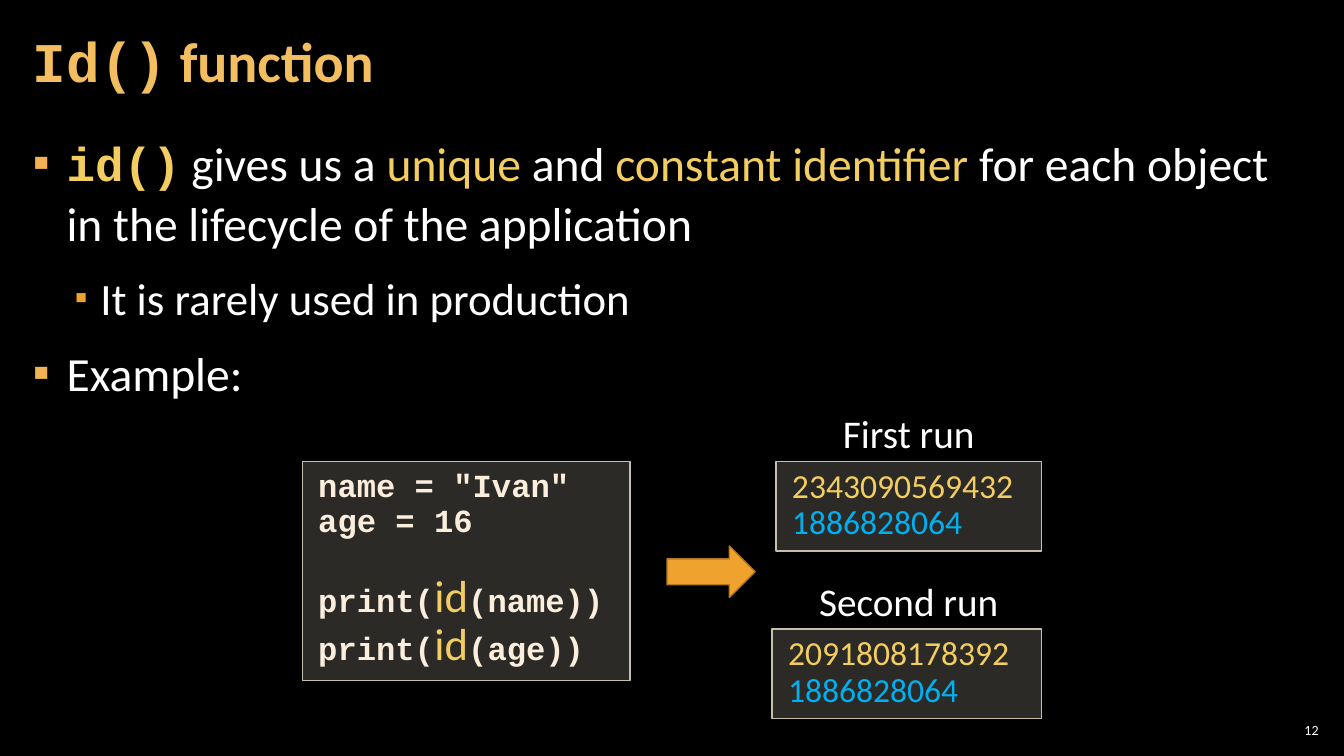
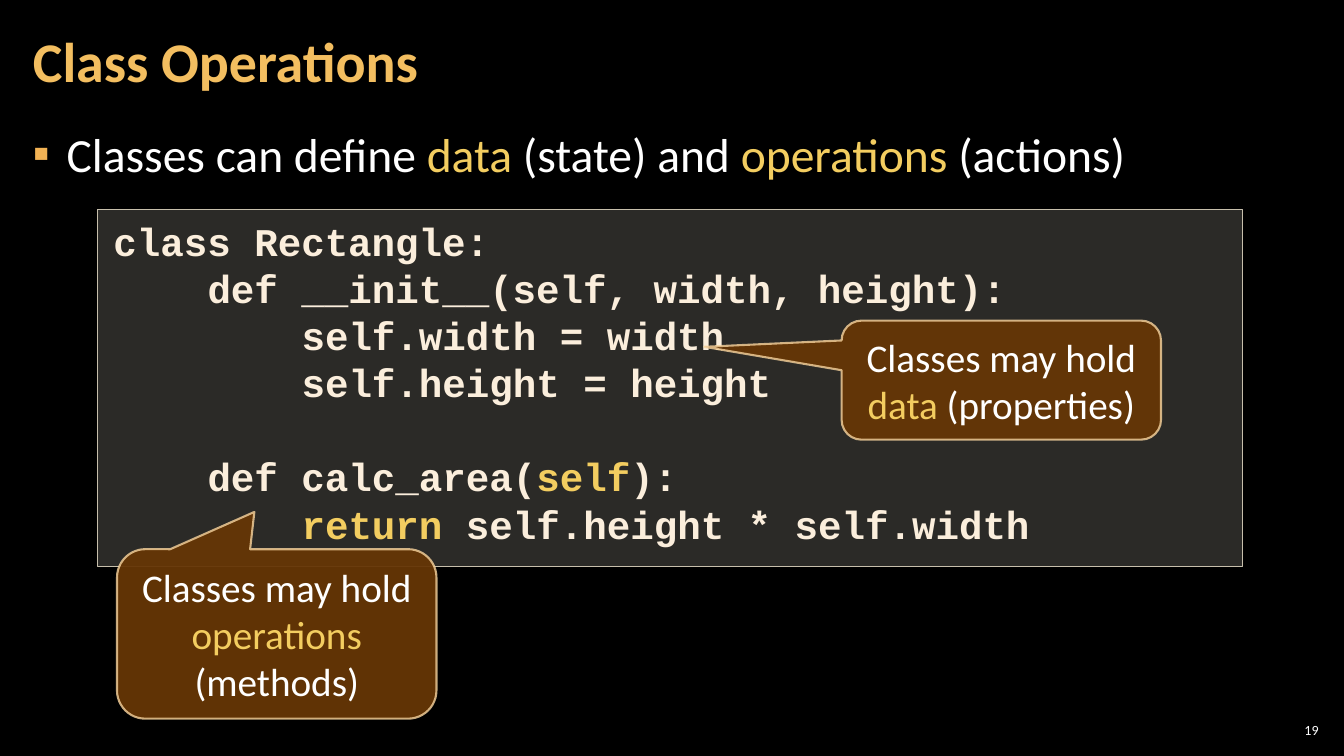
from lxml.etree import SubElement
from pptx import Presentation
from pptx.dml.color import RGBColor
from pptx.enum.shapes import MSO_SHAPE
from pptx.enum.text import MSO_ANCHOR, PP_ALIGN
from pptx.oxml.ns import qn
from pptx.util import Cm, Pt

COLORS = {
    "background": "000000", "text": "FFFFFF", "title": "F3BE60",
    "highlight": "F3CD60", "code": "FBEEDC", "number": "00B0F0",
    "panel": "D9D5C7", "panel_line": "C7BFAC",
    "callout": "663606", "callout_line": "F8D49E",
    "arrow": "F0A22E", "arrow_line": "B27822",
    "bullet": "F2B254", "sub_bullet": "F0A22E",
}
SANS, MONO = "Calibri", "Courier New"
BODY_INSETS = (0.3, 0.1, 0.3, 0.1)
PANEL_INSETS = (0.4, 0.2, 0.4, 0.2)
CALLOUT_INSETS = (0.25, 0.13, 0.25, 0.13)
CODE_INDENT = 4 * 0.6  # four characters, each 0.6 of the type size wide
CODE_LINE = 1.2  # height of a line of code relative to the type size


def rgb(name):
    return RGBColor.from_string(COLORS[name])


class Deck:
    """Holds the shared style and the slide being built."""

    def __init__(self):
        self.prs = Presentation()
        self.prs.slide_width, self.prs.slide_height = Cm(33.87), Cm(19.05)
        self.slide = None

    # Slide frame
    def new_slide(self, title, number):
        self.slide = self.prs.slides.add_slide(self.prs.slide_layouts[6])
        background = self.slide.background.fill
        background.solid()
        background.fore_color.rgb = rgb("background")
        heading = self.text_frame((0.53, 0.1, 26.6, 3.07), BODY_INSETS, MSO_ANCHOR.MIDDLE)
        self.paragraph(heading, title, size=40, color="title", bold=True).line_spacing = 0.9
        page = self.text_frame((32.13, 18.13, 1.2, 0.55), (0.1,) * 4, MSO_ANCHOR.MIDDLE)
        self.paragraph(page, [number], size=10).alignment = PP_ALIGN.RIGHT

    # Text
    def text_frame(self, box, insets, anchor=MSO_ANCHOR.TOP):
        holder = self.slide.shapes.add_textbox(*map(Cm, box))
        return self.set_frame(holder.text_frame, insets, anchor)

    def set_frame(self, frame, insets, anchor=MSO_ANCHOR.TOP):
        frame.word_wrap = True
        frame.vertical_anchor = anchor
        (frame.margin_left, frame.margin_top,
         frame.margin_right, frame.margin_bottom) = map(Cm, insets)
        return frame

    def paragraph(self, frame, parts, **style):
        """Each part is a string or a (string, style changes) pair."""
        first = frame.paragraphs[0]
        paragraph = frame.add_paragraph() if first.runs else first
        for part in parts:
            words, changes = (part, {}) if isinstance(part, str) else part
            look = {"size": 28, "font": SANS, "color": "text", "bold": False, **style, **changes}
            run = paragraph.add_run()
            run.text = words
            run.font.size, run.font.name = Pt(look["size"]), look["font"]
            run.font.bold = look["bold"]
            run.font.color.rgb = rgb(look["color"])
        return paragraph

    def indent(self, paragraph, left, first=0):
        properties = paragraph._p.get_or_add_pPr()
        properties.set("marL", str(int(left)))
        properties.set("indent", str(int(first)))
        return properties

    def bullets(self, top, items):
        frame = self.text_frame((0.53, top, 32.8, 15.47), BODY_INSETS)
        levels = [(34, 0.85, 0.85, "bullet", 100), (32, 1.7, 0.64, "sub_bullet", 80)]
        for level, parts in items:
            size, left, hang, color, percent = levels[level]
            paragraph = self.paragraph(frame, parts, size=size)
            paragraph.level = level
            paragraph.line_spacing = 1.05
            paragraph.space_before = paragraph.space_after = Pt(6)
            properties = self.indent(paragraph, Cm(left), -Cm(hang))
            bullet_color = SubElement(properties, qn("a:buClr"))
            SubElement(bullet_color, qn("a:srgbClr"), val=COLORS[color])
            SubElement(properties, qn("a:buSzPct"), val=str(percent * 1000))
            SubElement(properties, qn("a:buFont"), typeface=SANS)
            SubElement(properties, qn("a:buChar"), char="▪")

    def caption(self, box, words):
        frame = self.text_frame(box, CALLOUT_INSETS)
        self.paragraph(frame, [words]).alignment = PP_ALIGN.CENTER

    # Shapes
    def shape(self, kind, box, fill, line, width=1, fill_alpha=100, line_alpha=100):
        shape = self.slide.shapes.add_shape(kind, *map(Cm, box))
        shape.shadow.inherit = False
        shape.fill.solid()
        shape.fill.fore_color.rgb = rgb(fill)
        shape.line.color.rgb = rgb(line)
        shape.line.width = Pt(width)
        outline = shape._element.spPr.find(qn("a:ln"))
        for parent, alpha in ((shape._element.spPr, fill_alpha), (outline, line_alpha)):
            if alpha < 100:
                color = parent.find(qn("a:solidFill")).find(qn("a:srgbClr"))
                SubElement(color, qn("a:alpha"), val=str(alpha * 1000))
        return shape

    def arrow(self, box):
        self.shape(MSO_SHAPE.RIGHT_ARROW, box, "arrow", "arrow_line")

    def panel(self, box):
        shape = self.shape(MSO_SHAPE.RECTANGLE, box, "panel", "panel_line", fill_alpha=20)
        return self.set_frame(shape.text_frame, PANEL_INSETS)

    def code(self, box, lines, size, spacing=1.0):
        """Each line is (indent depth, blank lines above, parts)."""
        frame = self.panel(box)
        for depth, gap, parts in lines:
            line = self.paragraph(frame, parts, size=size, font=MONO, color="code", bold=True)
            line.alignment = PP_ALIGN.LEFT
            line.line_spacing = spacing
            line.space_before = Pt(gap * size * CODE_LINE * spacing)
            self.indent(line, Pt(depth * CODE_INDENT * size))

    def output(self, box, values):
        frame = self.panel(box)
        for value, color in zip(values, ("highlight", "number")):
            line = self.paragraph(frame, [value], size=24, color=color)
            line.alignment = PP_ALIGN.LEFT
            line.line_spacing = 0.9

    def callout(self, box, tip, parts):
        shape = self.shape(MSO_SHAPE.ROUNDED_RECTANGULAR_CALLOUT, box, "callout",
                           "callout_line", 1.5, fill_alpha=95, line_alpha=80)
        shape.adjustments[0], shape.adjustments[1] = tip
        frame = self.set_frame(shape.text_frame, CALLOUT_INSETS, MSO_ANCHOR.MIDDLE)
        self.paragraph(frame, parts).alignment = PP_ALIGN.CENTER


def key(words, **changes):
    return words, {"color": "highlight", **changes}


def build_id_function(deck):
    deck.new_slide([("Id()", {"font": MONO}), " function"], "12")
    deck.bullets(3.2, [
        (0, [key("id()", font=MONO, bold=True), " gives us a ", key("unique"), " and ",
             key("constant identifier "),
             "for each object in the lifecycle of the application"]),
        (1, ["It is rarely used in production"]),
        (0, ["Example:"]),
    ])

    # Code and the arrow to its results
    id_call = key("id", size=32, font=SANS, bold=False)
    deck.code((7.62, 11.63, 8.26, 5.52), [
        (0, 0, ['name = "Ivan"']),
        (0, 0, ["age = 16"]),
        (0, 1, ["print(", id_call, "(name))"]),
        (0, 0, ["print(", id_call, "(age))"]),
    ], size=23, spacing=0.9)
    deck.arrow((16.81, 13.76, 2.22, 1.3))

    # Results of both runs
    runs = [("First run", 10.19, 19.56, "2343090569432"),
            ("Second run", 14.41, 19.46, "2091808178392")]
    for name, top, left, name_id in runs:
        deck.output((left, top + 1.44, 26.25 - left, 2.26), [name_id, "1886828064"])
        deck.caption((19.56, top, 6.68, 1.45), name)


def build_class_operations(deck):
    deck.new_slide(["Class Operations"], "19")
    deck.bullets(2.97, [
        (0, ["Classes can define ", key("data"), " (state) and ",
             key("operations"), " (actions)"]),
    ])

    # Class definition
    deck.code((2.46, 5.28, 28.86, 8.99), [
        (0, 0, ["class Rectangle:"]),
        (1, 0, ["def __init__(self, width, height):"]),
        (2, 0, ["self.width = width"]),
        (2, 0, ["self.height = height"]),
        (1, 1, ["def calc_area(", key("self"), "):"]),
        (2, 0, [key("return"), " self.height * self.width"]),
    ], size=28)

    # Explanations
    for box, tip, subject, detail in [
        ((21.21, 8.08, 8.05, 3), (-0.93, -0.28), "data", " (properties)"),
        ((2.95, 13.84, 8.05, 4.27), (-0.07, -0.72), "operations", " (methods)"),
    ]:
        deck.callout(box, tip, ["Classes may hold ", key(subject), detail])


def main():
    deck = Deck()
    build_id_function(deck)
    build_class_operations(deck)
    deck.prs.save("out.pptx")


if __name__ == "__main__":
    main()
